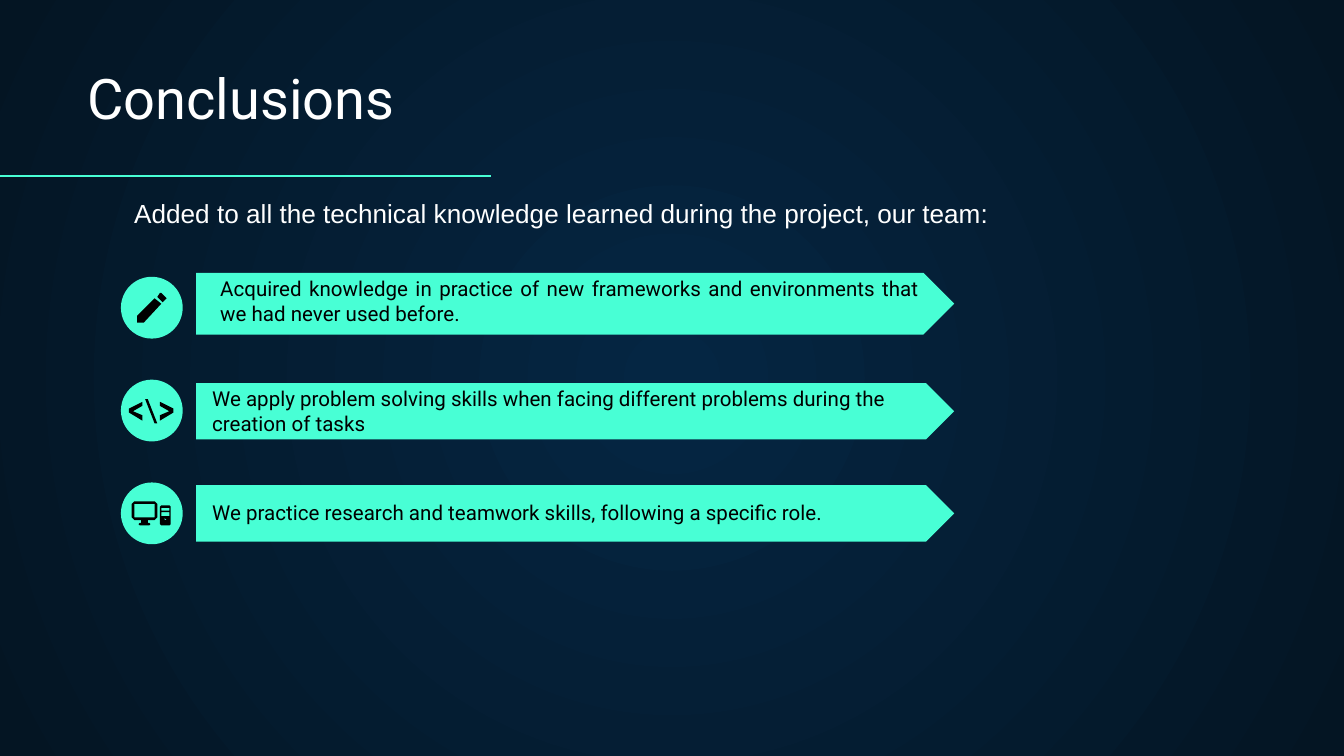
from lxml import etree
from pptx import Presentation
from pptx.dml.color import RGBColor
from pptx.enum.shapes import MSO_CONNECTOR, MSO_SHAPE
from pptx.enum.text import MSO_ANCHOR, MSO_AUTO_SIZE, PP_ALIGN
from pptx.oxml.ns import qn
from pptx.util import Inches, Pt

MINT = RGBColor(0x48, 0xFF, 0xD5)
WHITE = RGBColor(0xFF, 0xFF, 0xFF)
BLACK = RGBColor(0, 0, 0)
NAVY = RGBColor(0x05, 0x26, 0x43)
NIGHT = RGBColor(0x04, 0x15, 0x23)

TITLE = "Conclusions"
INTRO = "Added to all the technical knowledge learned during the project, our team:"

# Icon outlines: hundredths of an inch from the top left of their circle.
# Each icon is a list of pieces, each piece a list of contours.
PENCIL = [[
    [(30, 12), (29, 12), (27, 15), (31, 19), (33, 17), (34, 16), (33, 15)],
    [(25, 16), (12, 29), (12, 34), (17, 34), (30, 20)],
]]
CODE = [
    [[(16, 31), (6, 25), (6, 22), (16, 17), (16, 20), (9, 24), (16, 27)]],
    [[(25, 33), (18, 15), (20, 15), (27, 33)]],
    [[(29, 31), (29, 27), (36, 24), (29, 20), (29, 17), (39, 22), (39, 25)]],
]
COMPUTER = [
    [[(25, 16), (25, 26), (10, 26), (10, 16)],
     [(10, 14), (9, 15), (8, 16), (8, 26), (9, 27), (10, 28), (15, 28),
      (15, 30), (14, 30), (13, 31), (14, 32), (21, 32), (22, 31), (21, 30),
      (20, 30), (20, 28), (25, 28), (26, 27), (27, 26), (27, 16), (26, 15),
      (25, 14)]],
    [[(30, 19), (36, 19), (36, 21), (30, 21)],
     [(30, 22), (36, 22), (36, 25), (30, 25)],
     [(33, 27), (34, 28), (33, 28), (32, 27)],
     [(30, 17), (29, 18), (29, 31), (30, 32), (36, 32), (37, 31), (37, 18),
      (36, 17)]],
]

# Arrow is (top, height), box is (left, top, width, height)
CONCLUSIONS = [
    dict(text="Acquired knowledge in practice of new frameworks and environments "
              "that we had never used before.",
         icon=PENCIL, arrow=(2.03, 0.46), box=(1.54, 2.28, 5.4, 0.24),
         align=PP_ALIGN.JUSTIFY),
    dict(text="We apply problem solving skills when facing different problems "
              "during the creation of tasks",
         icon=CODE, arrow=(2.85, 0.42), box=(1.48, 2.92, 5.4, 0.42),
         align=PP_ALIGN.LEFT),
    dict(text="We practice research and teamwork skills, following a specific role.",
         icon=COMPUTER, arrow=(3.61, 0.42), box=(1.48, 3.65, 5.24, 0.35),
         align=PP_ALIGN.LEFT),
]
ARROW_LEFT, ARROW_WIDTH = 1.46, 5.64
CIRCLE_LEFT, CIRCLE_TOP, CIRCLE_SIZE = 0.9, 2.06, 0.46
CIRCLE_PITCH = 1.53 / 2


def inches(*lengths):
    return [Inches(length) for length in lengths]


def paint(shape, color):
    shape.fill.solid()
    shape.fill.fore_color.rgb = color
    shape.line.fill.background()
    shape.shadow.inherit = False


def write(shape, text, font, size, color, align=PP_ALIGN.LEFT,
          anchor=MSO_ANCHOR.BOTTOM, margin=0.1):
    frame = shape.text_frame
    frame.text = text
    frame.word_wrap = True
    frame.auto_size = MSO_AUTO_SIZE.NONE
    frame.vertical_anchor = anchor
    frame.margin_left = frame.margin_right = Inches(0.1)
    frame.margin_top = frame.margin_bottom = Inches(margin)
    paragraph = frame.paragraphs[0]
    paragraph.alignment = align
    paragraph.font.name, paragraph.font.size = font, Pt(size)
    paragraph.font.color.rgb = color


def draw_icon(shapes, pieces, left, top):
    dx, dy = round(left * 100), round(top * 100)
    for contours in pieces:
        placed = [[(x + dx, y + dy) for x, y in contour] for contour in contours]
        builder = shapes.build_freeform(*placed[0][0], scale=Inches(0.01))
        builder.add_line_segments(placed[0][1:], close=True)
        for contour in placed[1:]:
            builder.move_to(*contour[0])
            builder.add_line_segments(contour[1:], close=True)
        paint(builder.convert_to_shape(), BLACK)


def main():
    deck = Presentation()
    deck.slide_width = Inches(10)
    deck.slide_height = deck.slide_width * 9 // 16
    slide = deck.slides.add_slide(deck.slide_layouts[5])
    shapes = slide.shapes

    # Radial background
    fill = slide.background.fill
    fill.gradient()
    for stop, position, color in zip(fill.gradient_stops, (0, 1), (NAVY, NIGHT)):
        stop.position, stop.color.rgb = position, color
    gradient = slide.element.find(".//" + qn("a:gradFill"))
    gradient.remove(gradient.find(qn("a:lin")))
    radial = etree.SubElement(gradient, qn("a:path"), path="circle")
    etree.SubElement(radial, qn("a:fillToRect"),
                     {side: "50000" for side in "ltrb"})

    # Title and rule
    title = shapes.title
    title.left, title.top, title.width, title.height = inches(0.55, 0.41, 8.57, 0.66)
    write(title, TITLE, "Roboto", 30, WHITE)
    rule = shapes.add_connector(MSO_CONNECTOR.STRAIGHT, *inches(0, 1.31, 3.65, 1.31))
    rule.line.color.rgb, rule.line.width = MINT, Pt(0.75)
    etree.SubElement(rule._element.spPr, qn("a:effectLst"))

    # Introduction
    intro = shapes.add_textbox(*inches(0.9, 1.42, 7.2, 0.34))
    write(intro, INTRO, "Arial", 14, WHITE, anchor=MSO_ANCHOR.TOP, margin=0.05)

    # Conclusions: arrow, text, circle and icon
    for row, item in enumerate(CONCLUSIONS):
        top, height = item["arrow"]
        arrow = shapes.add_shape(MSO_SHAPE.PENTAGON,
                                 *inches(ARROW_LEFT, top, ARROW_WIDTH, height))
        paint(arrow, MINT)
        write(shapes.add_textbox(*inches(*item["box"])), item["text"],
              "Roboto", 11, BLACK, item["align"])
        circle_top = CIRCLE_TOP + row * CIRCLE_PITCH
        circle = shapes.add_shape(MSO_SHAPE.OVAL, *inches(
            CIRCLE_LEFT, circle_top, CIRCLE_SIZE, CIRCLE_SIZE))
        paint(circle, MINT)
        draw_icon(shapes, item["icon"], CIRCLE_LEFT, circle_top)

    deck.save("out.pptx")


if __name__ == "__main__":
    main()
